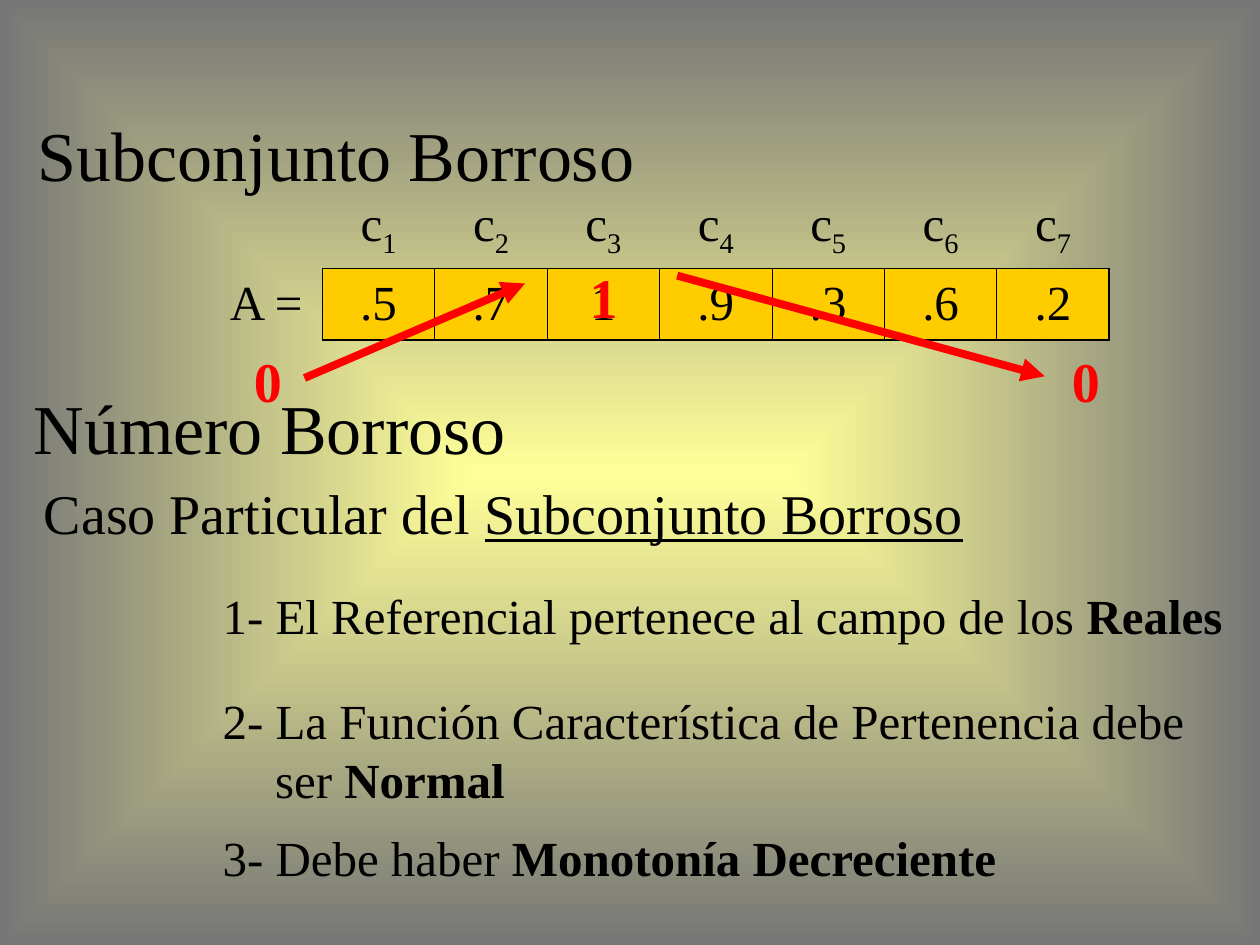
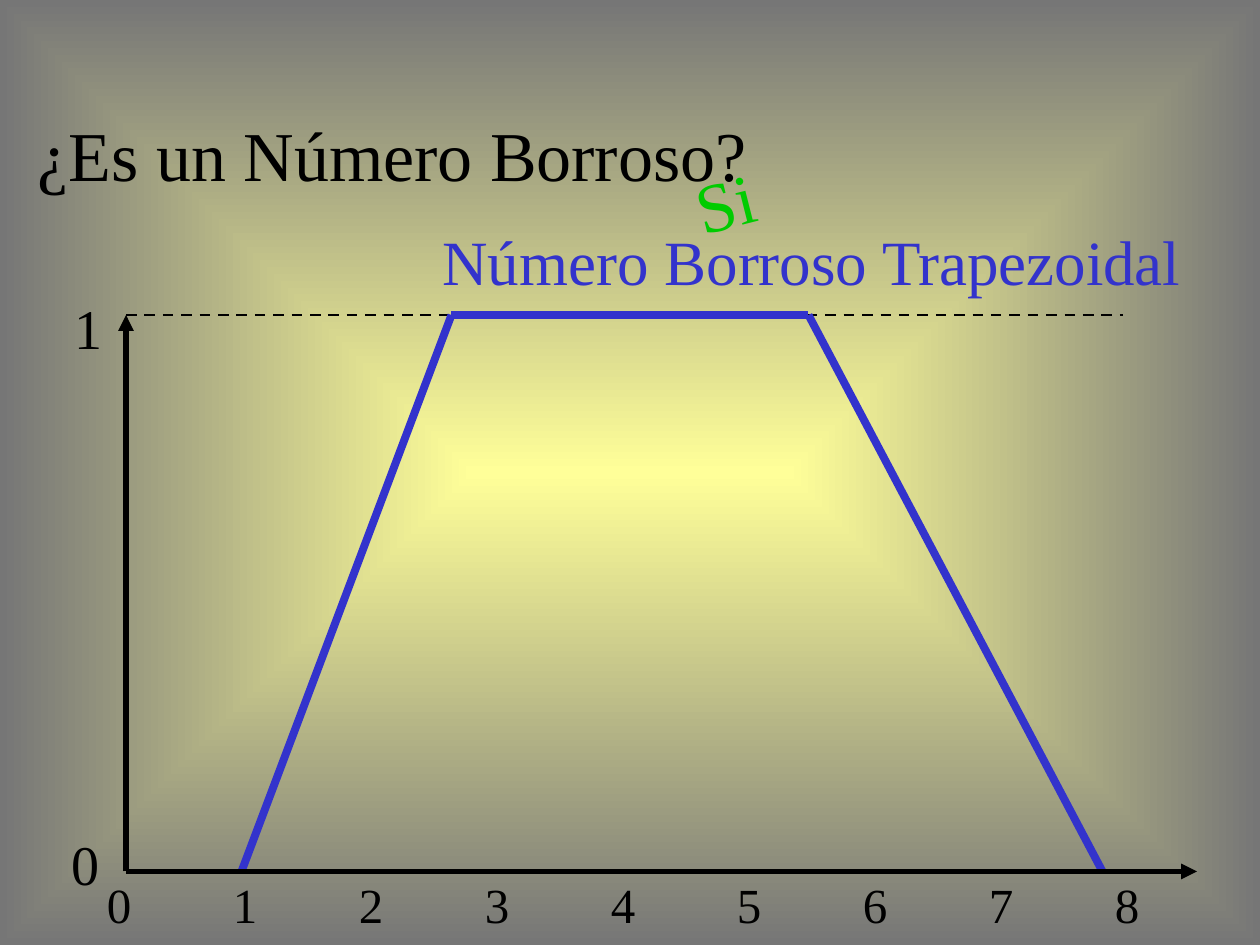
import pptx
import pptx.util
import pptx.dml.color
import pptx.enum.dml
import pptx.enum.shapes
import pptx.enum.text
import pptx.oxml
import pptx.oxml.ns
import lxml.etree

Pt = pptx.util.Pt
qn = pptx.oxml.ns.qn
ALIGN = pptx.enum.text.PP_ALIGN
ANCHOR = pptx.enum.text.MSO_ANCHOR
DASH = pptx.enum.dml.MSO_LINE.DASH

FACE = "Times New Roman"
INK = {"text": "000000", "mark": "FF0000", "cell": "FFCC00",
       "curve": "3333CC", "yes": "00CC00", "glow": "FFFF99", "edge": "767676"}
NO_GRID = "{2D5ABB26-0587-4C30-8999-92F81FD0307C}"


# Shared helpers
def rgb(name):
    return pptx.dml.color.RGBColor.from_string(INK[name])


def apply(thing, **form):
    for key, value in form.items():
        setattr(thing, key, value)


def place(shape, box):
    for key, value in zip(("left", "top", "width", "height"), box):
        setattr(shape, key, Pt(value))


def write(par, parts, size, ink="text", **form):
    """Each part is a string or a (string, format dict) pair."""
    for part in parts:
        words, extra = (part, {}) if isinstance(part, str) else part
        run = par.add_run()
        run.text = words
        apply(run.font, name=FACE, size=Pt(size), **{**form, **extra})
        run.font.color.rgb = rgb(ink)
    return run


def label(slide, box, parts, size, ink="text", turn=0, **form):
    shape = slide.shapes.add_textbox(*map(Pt, box))
    shape.rotation = turn
    shape.text_frame.word_wrap = False
    par = shape.text_frame.paragraphs[0]
    write(par, parts, size, ink, **form)
    return par


def line(slide, start, end, ink, width, arrow=False, dash=None):
    kind = pptx.enum.shapes.MSO_CONNECTOR.STRAIGHT
    link = slide.shapes.add_connector(kind, *map(Pt, (*start, *end)))
    link.line.color.rgb = rgb(ink)
    link.line.width = Pt(width)
    if dash:
        link.line.dash_style = dash
    props = link._element.spPr
    if arrow:
        lxml.etree.SubElement(props.find(qn("a:ln")), qn("a:tailEnd"), type="triangle")
    lxml.etree.SubElement(props, qn("a:effectLst"))


def backdrop(deck):
    master = deck.slide_master
    fill = master.background.fill
    fill.gradient()
    for stop, name in zip(fill.gradient_stops, ("glow", "edge")):
        stop.color.rgb = rgb(name)
    grad = master.element.find(".//" + qn("p:bg") + "//" + qn("a:gradFill"))
    grad.remove(grad.find(qn("a:lin")))
    track = lxml.etree.SubElement(grad, qn("a:path"), path="rect")
    lxml.etree.SubElement(track, qn("a:fillToRect"),
                          {side: "50000" for side in "ltrb"})


def start_slide(deck, layout, title):
    slide = deck.slides.add_slide(deck.slide_layouts[layout])
    shape = slide.shapes.title
    place(shape, (14.4, 60, 560, 55))
    apply(shape.text_frame, word_wrap=True, vertical_anchor=ANCHOR.TOP,
          auto_size=pptx.enum.text.MSO_AUTO_SIZE.NONE)
    par = shape.text_frame.paragraphs[0]
    par.alignment = ALIGN.LEFT
    write(par, [title], 40)
    return slide


# Table of membership values
def border(cell, sides):
    props = cell._tc.get_or_add_tcPr()
    for spot, (side, width) in enumerate(sides.items()):
        edge = pptx.oxml.parse_xml(
            f'<a:ln{side} xmlns:a="http://schemas.openxmlformats.org/drawingml/2006/main"'
            f' w="{Pt(width)}"><a:solidFill><a:srgbClr val="{INK["text"]}"/>'
            f'</a:solidFill></a:ln{side}>')
        props.insert(spot, edge)


def value_table(slide, box, values):
    count = len(values)
    frame = slide.shapes.add_table(2, count + 1, *map(Pt, box))
    table = frame.table
    apply(table, first_row=False, horz_banding=False)
    table._tbl.tblPr.find(qn("a:tableStyleId")).text = NO_GRID
    for col in table.columns:
        col.width = Pt(box[2] / (count + 1))
    for row, high in zip(table.rows, (45.4, 41)):
        row.height = Pt(high)
    heads = [""] + [f"c{n}" for n in range(1, count + 1)]
    for r, texts in enumerate((heads, ["A ="] + values)):
        for c, words in enumerate(texts):
            cell = table.cell(r, c)
            cell.vertical_anchor = ANCHOR.MIDDLE
            cell.fill.background()
            if not words:
                continue
            par = cell.text_frame.paragraphs[0]
            apply(par, alignment=ALIGN.CENTER, space_before=Pt(7))
            if r == 0:
                sub = write(par, list(words), 28)
                sub._r.get_or_add_rPr().set("baseline", "-25000")
                continue
            write(par, [words], 28)
            if c:
                cell.fill.solid()
                cell.fill.fore_color.rgb = rgb("cell")
                border(cell, {"L": 1.08 if c == 1 else 0.45,
                              "R": 1.08 if c == count else 0.45,
                              "T": 1.08, "B": 1.08})


# Red marks showing the rise and fall around the peak
def peak_marks(slide, box):
    x, y = box[:2]
    line(slide, (x + 54, y + 108), (x + 180, y + 54), "mark", 4.5, arrow=True)
    line(slide, (x + 267, y + 49.5), (x + 477, y + 107), "mark", 4.5, arrow=True)
    for dx, dy, digit in ((18, 86.4, "0"), (485.5, 86.4, "0"), (209.8, 38.2, "1")):
        label(slide, (x + dx, y + dy, 30.5, 46), [digit], 32, "mark", bold=True)


# Numbered conditions
def rule_list(slide, box, items):
    shape = slide.placeholders[1]
    place(shape, box)
    frame = shape.text_frame
    apply(frame, word_wrap=True, auto_size=pptx.enum.text.MSO_AUTO_SIZE.NONE)
    for n, (gap, parts) in enumerate(items):
        par = frame.add_paragraph() if n else frame.paragraphs[0]
        par.space_before = Pt(gap)
        props = par._p.get_or_add_pPr()
        props.set("marL", str(Pt(30)))
        props.set("indent", str(Pt(-30)))
        lxml.etree.SubElement(props, qn("a:buNone"))
        write(par, parts, 28)


# Trapezoid graph
def graph(slide, box):
    x, y, wide, high = box
    base = y + high
    points = [(x + 66, base), (x + 186, y), (x + 390, y), (x + 558, base)]
    line(slide, (x, y), (x + 570, y), "text", 1.5, dash=DASH)
    for start, end in zip(points, points[1:]):
        line(slide, start, end, "curve", 4.5)
    for end in ((x, y), (x + wide, base)):
        line(slide, (x, base), end, "text", 3, arrow=True)
    # Axis labels
    label(slide, (x - 38, base - 27.6, 30.5, 46), ["0"], 32)
    label(slide, (x - 36.7, y - 15.6, 30.5, 46), ["1"], 32)
    ticks = "\t".join(str(n) for n in range(9)) + "\t"
    par = label(slide, (x - 18, base - 2, 662, 41), [ticks], 28)
    par._p.get_or_add_pPr().set("defTabSz", str(Pt(72)))


def number_slide(deck):
    slide = start_slide(deck, 1, "Subconjunto Borroso")
    area = (120, 108, 514, 86.4)
    value_table(slide, area, [".5", ".7", "1", ".9", ".3", ".6", ".2"])
    peak_marks(slide, area)
    label(slide, (12.2, 216, 300, 55), ["Número Borroso"], 40)
    label(slide, (18, 270, 580, 46),
          ["Caso Particular del ", ("Subconjunto Borroso", {"underline": True})], 32)
    bold = {"bold": True}
    rule_list(slide, (120, 331, 591, 182), [
        (0, ["1- El Referencial pertenece al campo de los ", ("Reales", bold)]),
        (26.4, ["2- La Función Característica de Pertenencia debe ser ", ("Normal", bold)]),
        (11, ["3- Debe haber ", ("Monotonía Decreciente", bold)])])


def graph_slide(deck):
    slide = start_slide(deck, 5, "¿Es un Número Borroso?")
    graph(slide, (72, 180, 612, 318))
    label(slide, (245.8, 123.6, 460, 50), ["Número Borroso Trapezoidal"], 36, "curve")
    label(slide, (390.5, 87.2, 48, 55), ["Si"], 40, "yes", turn=345.7)


def main():
    deck = pptx.Presentation()
    apply(deck, slide_width=Pt(720), slide_height=Pt(540))
    backdrop(deck)
    number_slide(deck)
    graph_slide(deck)
    deck.save("out.pptx")


if __name__ == "__main__":
    main()
